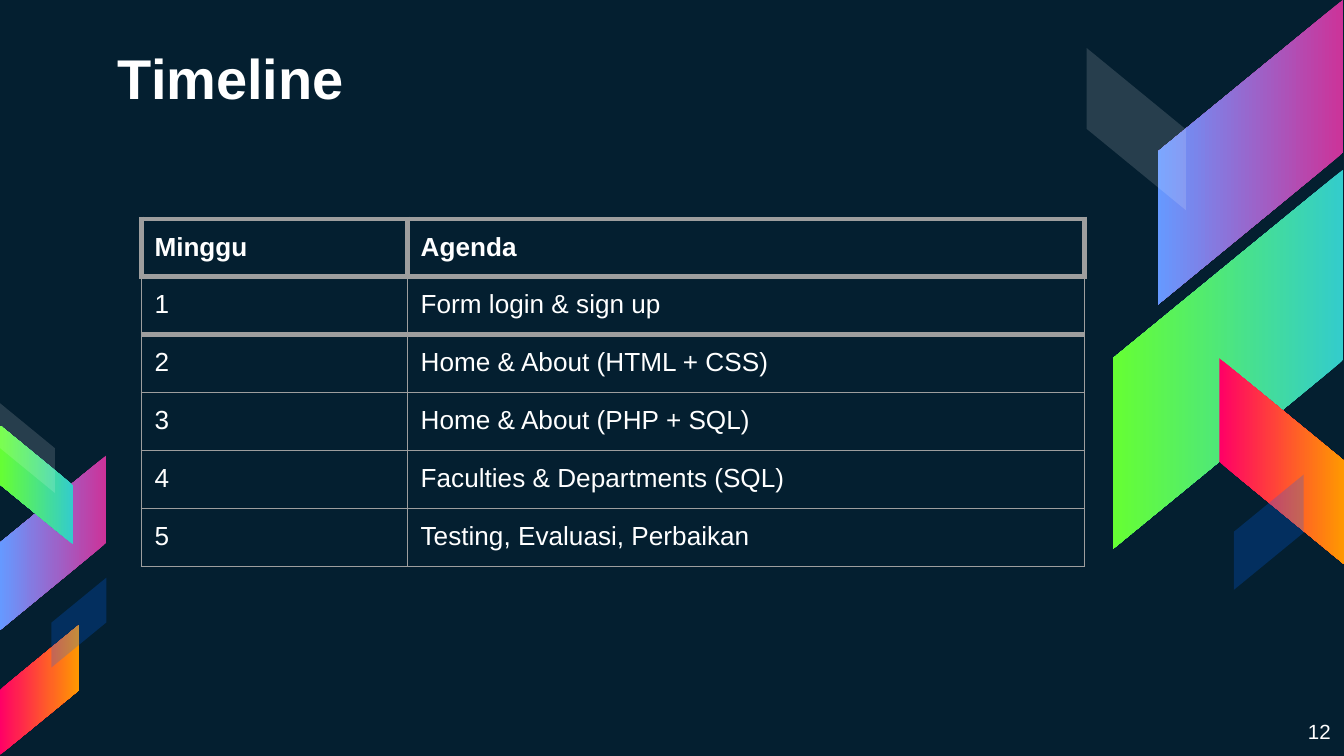
from lxml import etree
from pptx import Presentation
from pptx.dml.color import RGBColor
from pptx.enum.shapes import MSO_SHAPE
from pptx.enum.text import MSO_ANCHOR, PP_ALIGN
from pptx.oxml.ns import qn
from pptx.util import Cm, Pt

BAND = MSO_SHAPE.PARALLELOGRAM
TOP, BOTTOM = MSO_ANCHOR.TOP, MSO_ANCHOR.BOTTOM
LEFT, RIGHT = PP_ALIGN.LEFT, PP_ALIGN.RIGHT
INSET = Cm(0.25)
WHITE, GREY, NIGHT = "FFFFFF", "9E9E9E", "041F30"
PINK = ("CC3399", "6699FF")
GREEN = ("33CCCC", "66FF33")
RED = ("FF0066", "FF9900")
GLASS = (WHITE, 14)
BLUE = ("0066FF", 23)

RIGHT_BANDS = [
    (20.75, 1.12, 5.77, 3.51, 90, True, PINK),
    (19.63, 4.62, 7.16, 4.34, 90, True, GREEN),
    (22.28, 7.54, 3.89, 2.36, 270, False, RED),
    (19.94, 1.5, 3.07, 1.88, 270, False, GLASS),
    (22.89, 9.4, 2.18, 1.32, 270, True, BLUE),
]
LEFT_BANDS = [
    (-0.64, 9.25, 3.3, 2.01, 90, True, PINK),
    (-0.43, 8.48, 2.24, 1.37, 90, False, GREEN),
    (-0.48, 12.29, 2.46, 1.5, 270, True, RED),
    (-0.33, 7.95, 1.7, 1.04, 270, False, GLASS),
    (0.64, 11.25, 1.7, 1.04, 270, True, BLUE),
]
ROWS = [
    ("Minggu", "Agenda"),
    ("1", "Form login & sign up"),
    ("2", "Home & About (HTML + CSS)"),
    ("3", "Home & About (PHP + SQL)"),
    ("4", "Faculties & Departments (SQL)"),
    ("5", "Testing, Evaluasi, Perbaikan"),
]


def color(code):
    """Turn a hex string into a colour."""
    return RGBColor.from_string(code)


def write(frame, text, size=14, bold=False, align=LEFT):
    """Put formatted text into a text frame."""
    para = frame.paragraphs[0]
    para.alignment = align
    run = para.add_run()
    run.text = text
    font = run.font
    font.name, font.size, font.bold = "Arial", Pt(size), bold
    font.color.rgb = color(WHITE)


def add_text(slide, box, text, anchor=TOP, **form):
    """Add a wrapping text box."""
    frame = slide.shapes.add_textbox(*map(Cm, box)).text_frame
    frame.word_wrap = True
    frame.vertical_anchor = anchor
    frame.margin_left = frame.margin_right = INSET
    frame.margin_top = frame.margin_bottom = INSET
    write(frame, text, **form)


def paint(fill, first, last):
    """Fill with a gradient, or with one colour at a percentage of opacity."""
    if isinstance(last, str):
        fill.gradient()
        fill.gradient_angle = 270
        for stop, code in zip(fill.gradient_stops, (first, last)):
            stop.color.rgb = color(code)
    else:
        fill.solid()
        fill.fore_color.rgb = color(first)


def add_band(group, left, top, width, height, turn, flip, look):
    """Add one slanted band to a group."""
    band = group.shapes.add_shape(BAND, *map(Cm, (left, top, width, height)))
    band.adjustments[0] = 0.82
    band.rotation = turn
    band.shadow.inherit = False
    band.line.fill.background()
    paint(band.fill, *look)
    props = band.element.spPr
    if flip:
        props.find(qn("a:xfrm")).set("flipH", "1")
    if look in (GLASS, BLUE):
        tone = props.find(qn("a:solidFill"))[0]
        etree.SubElement(tone, qn("a:alpha")).set("val", str(look[1] * 1000))


def edge(cell, widths):
    """Draw the left, right, top and bottom borders of a cell."""
    props = cell._tc.get_or_add_tcPr()
    for side, width in zip("LRTB", widths):
        line = etree.SubElement(props, qn("a:ln" + side), w=str(Pt(width)))
        fill = etree.SubElement(line, qn("a:solidFill"))
        etree.SubElement(fill, qn("a:srgbClr"), val=GREY)


def add_plan(slide):
    """Add the table of weeks and agenda."""
    high = Cm(1.06)
    frame = slide.shapes.add_table(
        len(ROWS), 2, Cm(2.67), Cm(4.14), Cm(17.83), high * len(ROWS))
    table = frame.table
    table.first_row = table.horz_banding = False
    table.columns[0].width, table.columns[1].width = Cm(5.03), Cm(12.8)
    for r, row in enumerate(ROWS):
        table.rows[r].height = high
        side = 3 if r == 0 else 0.75
        above = 3 if r < 3 else 0.75
        below = 3 if r < 2 else 0.75
        for c, text in enumerate(row):
            cell = table.cell(r, c)
            cell.margin_left = cell.margin_right = INSET
            cell.margin_top = cell.margin_bottom = INSET
            edge(cell, (side, side, above, below))
            cell.fill.background()
            write(cell.text_frame, text, bold=r == 0)


def main():
    """Build and save the slide."""
    deck = Presentation()
    deck.slide_width, deck.slide_height = Cm(25.4), Cm(14.29)
    slide = deck.slides.add_slide(deck.slide_layouts[6])
    slide.background.fill.solid()
    slide.background.fill.fore_color.rgb = color(NIGHT)
    for bands in (RIGHT_BANDS, LEFT_BANDS):
        group = slide.shapes.add_group_shape()
        for band in bands:
            add_band(group, *band)
    add_text(slide, (1.98, 0.56, 16.59, 1.78), "Timeline",
             anchor=BOTTOM, size=30, bold=True)
    add_text(slide, (23.77, 13.36, 1.63, 0.91), "12", size=11, align=RIGHT)
    add_plan(slide)
    deck.save("out.pptx")


if __name__ == "__main__":
    main()
